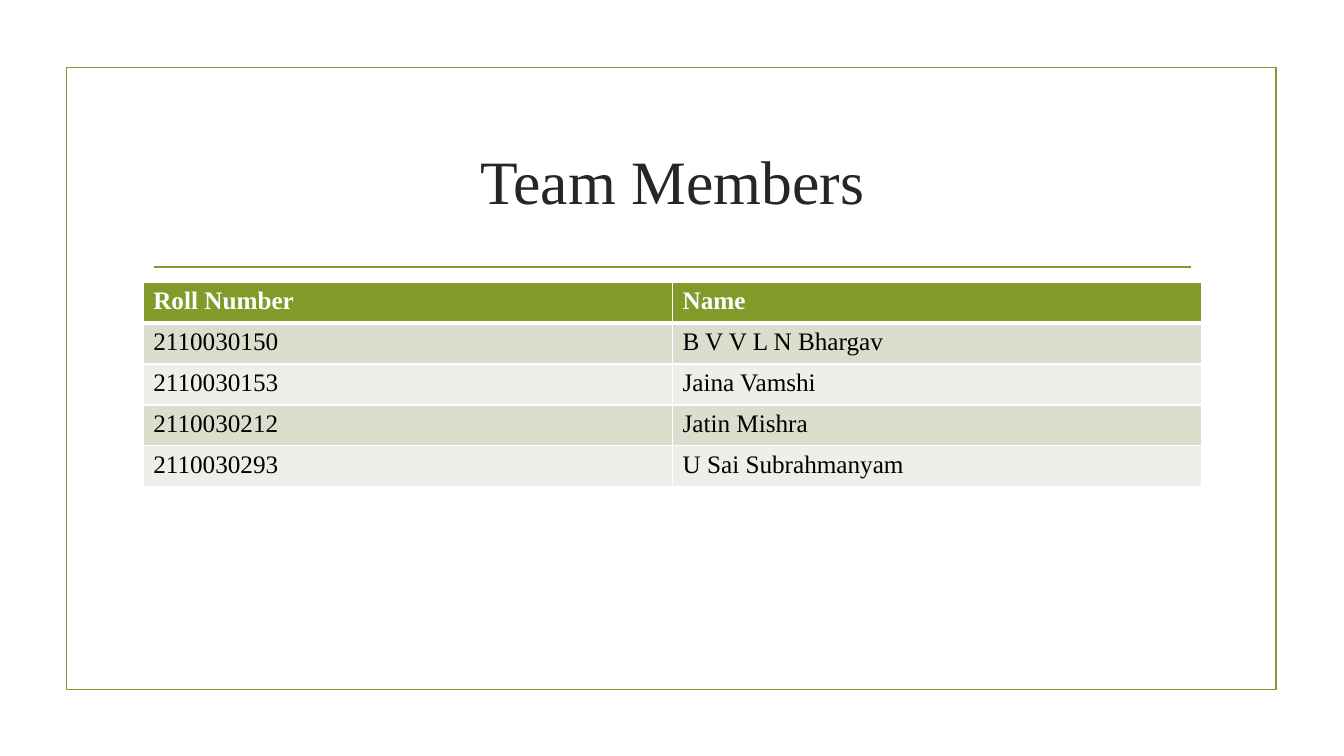
"""Build the team members slide."""
from lxml import etree
from pptx import Presentation
from pptx.dml.color import RGBColor
from pptx.enum.shapes import MSO_CONNECTOR, MSO_SHAPE
from pptx.enum.text import MSO_ANCHOR, PP_ALIGN
from pptx.oxml.ns import qn
from pptx.util import Inches, Pt

RECT = MSO_SHAPE.RECTANGLE
STRAIGHT = MSO_CONNECTOR.STRAIGHT
MIDDLE = MSO_ANCHOR.MIDDLE
CENTER = PP_ALIGN.CENTER

FONT = "Times New Roman"
COLORS = {
    "green": "83992A",
    "title": "262626",
    "text": "000000",
    "white": "FFFFFF",
    "band_dark": "D9DECD",
    "band_light": "EDEFE8",
}
MEMBERS = [
    ("Roll Number", "Name"),
    ("2110030150", "B V V L N Bhargav"),
    ("2110030153", "Jaina Vamshi"),
    ("2110030212", "Jatin Mishra"),
    ("2110030293", "U Sai Subrahmanyam"),
]


class SlideBuilder:
    def __init__(self, slide):
        self.slide = slide

    def color(self, name):
        return RGBColor.from_string(COLORS[name])

    def outline(self, s):
        s.line.color.rgb = self.color("green")
        s.line.width = Pt(1.25)

    def frame(self, x, y, w, h):
        s = self.slide.shapes.add_shape(RECT, Inches(x), Inches(y), Inches(w), Inches(h))
        s.shadow.inherit = False
        s.fill.background()
        self.outline(s)

    def rule(self, x1, x2, y):
        s = self.slide.shapes.add_connector(STRAIGHT, Inches(x1), Inches(y), Inches(x2), Inches(y))
        self.outline(s)
        etree.SubElement(s._element.spPr, qn("a:effectLst"))

    def run(self, p, text, size, color, bold=False):
        r = p.add_run()
        r.text = text
        r.font.name = FONT
        r.font.size = Pt(size)
        r.font.bold = bold
        r.font.color.rgb = self.color(color)

    def title(self, text, x, y, w, h):
        s = self.slide.shapes.add_textbox(Inches(x), Inches(y), Inches(w), Inches(h))
        tf = s.text_frame
        tf.word_wrap = True
        tf.vertical_anchor = MIDDLE
        p = tf.paragraphs[0]
        p.alignment = CENTER
        self.run(p, text, 44, "title")

    def border(self, cell, side, width):
        ln = etree.Element(qn(f"a:{side}"), w=str(Pt(width)))
        fill = etree.SubElement(ln, qn("a:solidFill"))
        etree.SubElement(fill, qn("a:srgbClr"), val=COLORS["white"])
        cell._tc.get_or_add_tcPr().append(ln)

    def cell(self, cell, text, row):
        header = row == 0
        for side in ("lnL", "lnR", "lnT", "lnB"):
            thick = (row, side) in ((0, "lnB"), (1, "lnT"))
            self.border(cell, side, 3 if thick else 1)
        band = "band_dark" if row % 2 else "band_light"
        cell.fill.solid()
        cell.fill.fore_color.rgb = self.color("green" if header else band)
        p = cell.text_frame.paragraphs[0]
        self.run(p, text, 18, "white" if header else "text", header)

    def table(self, rows, x, y, w, h):
        s = self.slide.shapes.add_table(
            len(rows), len(rows[0]), Inches(x), Inches(y), Inches(w), Inches(h))
        for i, values in enumerate(rows):
            for j, text in enumerate(values):
                self.cell(s.table.cell(i, j), text, i)


def main():
    prs = Presentation()
    prs.slide_width = Inches(13.33)
    prs.slide_height = Inches(7.5)
    b = SlideBuilder(prs.slides.add_slide(prs.slide_layouts[6]))
    b.frame(0.66, 0.67, 12, 6.17)
    b.rule(1.53, 11.81, 2.65)
    b.title("Team Members", 1.42, 1.07, 10.5, 1.43)
    b.table(MEMBERS, 1.42, 2.8, 10.5, 2.03)
    prs.save("out.pptx")


if __name__ == "__main__":
    main()
